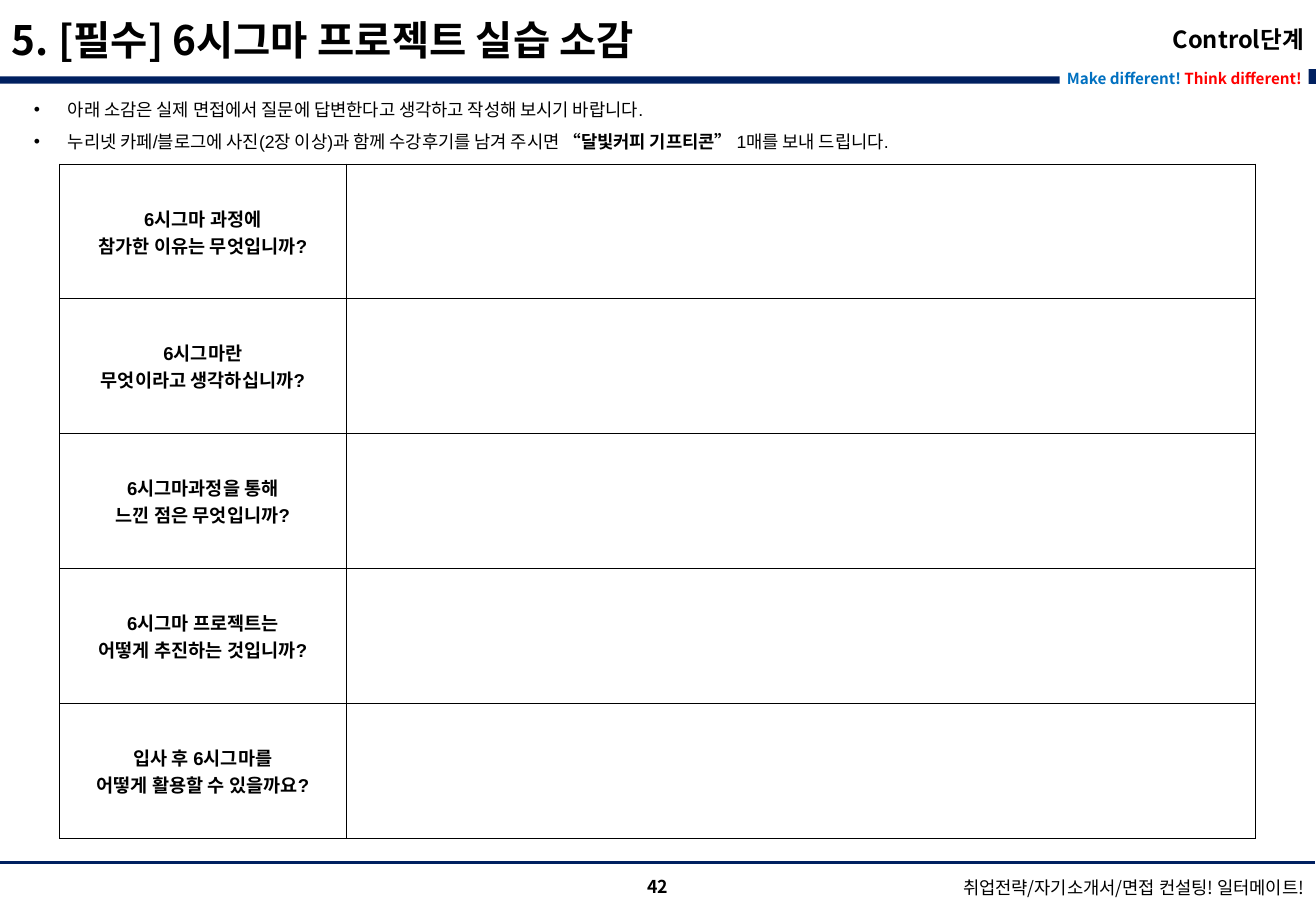
from lxml import etree
from pptx import Presentation
from pptx.dml.color import RGBColor
from pptx.enum.shapes import MSO_CONNECTOR, MSO_SHAPE
from pptx.enum.text import MSO_ANCHOR, PP_ALIGN
from pptx.oxml.ns import qn
from pptx.util import Pt

PX = 9144
NAVY = RGBColor(0x00, 0x20, 0x60)
BLUE = RGBColor(0x00, 0x70, 0xC0)
RED = RGBColor(0xFF, 0x00, 0x00)
BLACK = RGBColor(0x00, 0x00, 0x00)
WHITE = RGBColor(0xFF, 0xFF, 0xFF)
LEFT, CENTER, RIGHT = PP_ALIGN.LEFT, PP_ALIGN.CENTER, PP_ALIGN.RIGHT
MIDDLE = MSO_ANCHOR.MIDDLE
RECTANGLE = MSO_SHAPE.RECTANGLE
STRAIGHT = MSO_CONNECTOR.STRAIGHT
NOTO = "Noto Sans CJK KR"
ARIAL = "Arial"

QUESTIONS = [
    ("6시그마 과정에", "참가한 이유는 무엇입니까?"),
    ("6시그마란", "무엇이라고 생각하십니까?"),
    ("6시그마과정을 통해", "느낀 점은 무엇입니까?"),
    ("6시그마 프로젝트는", "어떻게 추진하는 것입니까?"),
    ("입사 후 6시그마를", "어떻게 활용할 수 있을까요?"),
]
COLUMN_WIDTHS = (236, 748)
ROW_HEIGHT = 111


def scaled(*lengths):
    return [length * PX for length in lengths]


def add_span(para, text, size=10.5, font=NOTO, color=BLACK, bold=False):
    span = para.add_run()
    span.text = text
    span.font.size = Pt(size)
    span.font.bold = bold
    span.font.color.rgb = color
    span.font.name = font
    properties = span.font._element
    etree.SubElement(properties, qn("a:ea"), typeface=NOTO)


def add_text(page, area, text, align=LEFT, **style):
    box = page.shapes.add_textbox(*scaled(*area))
    frame = box.text_frame
    frame.word_wrap = True
    frame.vertical_anchor = MIDDLE
    para = frame.paragraphs[0]
    para.alignment = align
    add_span(para, text, **style)


def add_block(page, area, color):
    block = page.shapes.add_shape(RECTANGLE, *scaled(*area))
    block.shadow.inherit = False
    block.fill.solid()
    block.fill.fore_color.rgb = color
    block.line.fill.background()
    return block


def add_slogan(page):
    block = add_block(page, (872, 52, 205, 25), WHITE)
    frame = block.text_frame
    frame.word_wrap = False
    frame.vertical_anchor = MIDDLE
    frame.margin_left, frame.margin_right = scaled(4, 4)
    para = frame.paragraphs[0]
    para.alignment = CENTER
    add_span(para, "Make different! ", size=9, color=BLUE, bold=True)
    add_span(para, "Think different!", size=9, color=RED, bold=True)


def add_rule(page, ends):
    rule = page.shapes.add_connector(STRAIGHT, *scaled(*ends))
    rule.line.color.rgb = NAVY
    rule.line.width = Pt(1.5)
    etree.SubElement(rule._element.spPr, qn("a:effectLst"))


def add_bullets(page, area, items):
    box = page.shapes.add_textbox(*scaled(*area))
    frame = box.text_frame
    frame.word_wrap = True
    frame.vertical_anchor = MIDDLE
    frame.margin_left, frame.margin_right = scaled(6, 6)
    frame.margin_top, frame.margin_bottom = scaled(3, 3)
    for index, spans in enumerate(items):
        para = frame.add_paragraph() if index else frame.paragraphs[0]
        para.line_spacing = 1.5
        properties = para._p.get_or_add_pPr()
        properties.set("marL", str(28 * PX))
        properties.set("indent", str(-28 * PX))
        etree.SubElement(properties, qn("a:buFont"), typeface=ARIAL)
        etree.SubElement(properties, qn("a:buChar"), char="•")
        for text, bold in spans:
            add_span(para, text, font=ARIAL, bold=bold)


def style_cell(cell):
    properties = cell._tc.get_or_add_tcPr()
    for side in ("lnL", "lnR", "lnT", "lnB"):
        border = etree.SubElement(properties, qn(f"a:{side}"), w=str(Pt(0.5)))
        fill = etree.SubElement(border, qn("a:solidFill"))
        etree.SubElement(fill, qn("a:srgbClr"), val=str(BLACK))
    cell.fill.background()
    cell.vertical_anchor = MIDDLE


def add_question_table(page, left, top):
    width, height = sum(COLUMN_WIDTHS), ROW_HEIGHT * len(QUESTIONS)
    table = page.shapes.add_table(
        len(QUESTIONS), len(COLUMN_WIDTHS), *scaled(left, top, width, height)
    ).table
    table.first_row = False
    table.horz_banding = False
    for column, column_width in zip(table.columns, COLUMN_WIDTHS):
        column.width = column_width * PX
    for cell in table.iter_cells():
        style_cell(cell)
    for row, lines in enumerate(QUESTIONS):
        table.rows[row].height = ROW_HEIGHT * PX
        frame = table.cell(row, 0).text_frame
        for index, line in enumerate(lines):
            para = frame.add_paragraph() if index else frame.paragraphs[0]
            para.alignment = CENTER
            add_span(para, line, size=11, font=ARIAL, bold=True)


def main():
    deck = Presentation()
    deck.slide_width, deck.slide_height = scaled(1083, 750)
    page = deck.slides.add_slide(deck.slide_layouts[6])

    add_block(page, (0, 63, 1082, 6), NAVY)
    add_block(page, (1026, 57, 57, 12), NAVY)
    add_slogan(page)
    add_text(page, (742, 711, 341, 40),
             "취업전략/자기소개서/면접 컨설팅! 일터메이트!", align=RIGHT)
    add_rule(page, (0, 710, 1082, 710))
    add_text(page, (415, 710, 253, 40), "42", align=CENTER, bold=True)
    add_text(page, (0, 5, 961, 55), "5. [필수] 6시그마 프로젝트 실습 소감",
             size=24, bold=True)
    add_question_table(page, 49, 135)
    add_text(page, (122, 5, 961, 55), "Control단계",
             align=RIGHT, size=14, bold=True)
    add_bullets(page, (22, 71, 773, 56), [
        [("아래 소감은 실제 면접에서 질문에 답변한다고 생각하고 작성해 보시기 바랍니다.", False)],
        [("누리넷 카페/블로그에 사진(2장 이상)과 함께 수강후기를 남겨 주시면 ", False),
         ("“달빛커피 기프티콘” ", True),
         ("1매를 보내 드립니다.", False)],
    ])
    deck.save("out.pptx")


if __name__ == "__main__":
    main()
